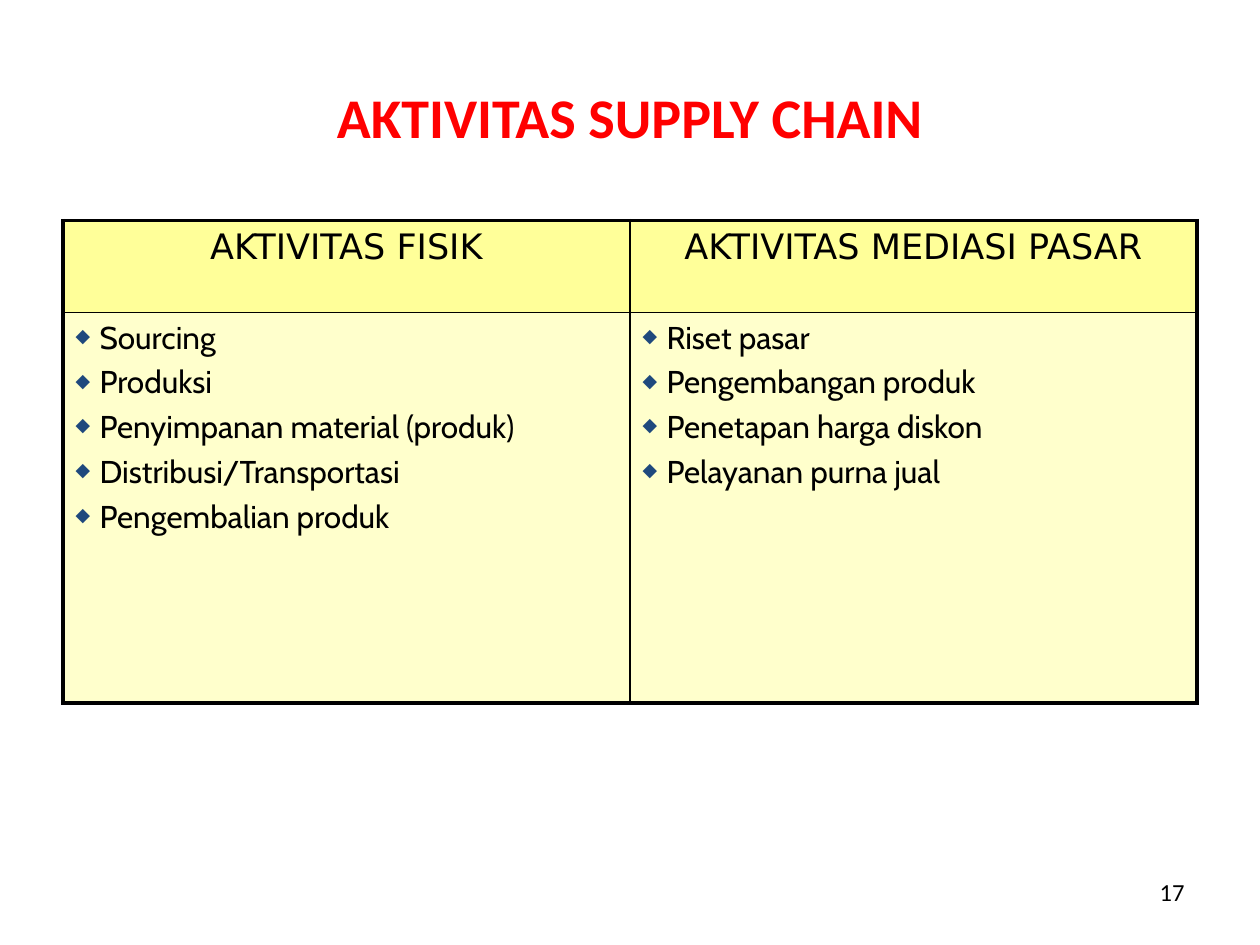
from lxml import etree
from pptx import Presentation
from pptx import util as u
from pptx.dml.color import RGBColor
from pptx.enum import text
from pptx.oxml.ns import qn

RED = RGBColor(0xFF, 0x00, 0x00)
BLACK = RGBColor(0x00, 0x00, 0x00)
NAVY = RGBColor(0x1F, 0x49, 0x7D)
HEADER_YELLOW = RGBColor(0xFF, 0xFF, 0x99)
BODY_YELLOW = RGBColor(0xFF, 0xFF, 0xCC)

COLUMNS = {
    "AKTIVITAS FISIK": [
        "Sourcing", "Produksi", "Penyimpanan material (produk)",
        "Distribusi/Transportasi", "Pengembalian produk"],
    "AKTIVITAS MEDIASI PASAR": [
        "Riset pasar", "Pengembangan produk",
        "Penetapan harga diskon", "Pelayanan purna jual"],
}
OUTER, INNER = 2.25, 1  # border widths in points


def add_bullet(p):
    pPr = p._p.get_or_add_pPr()
    pPr.set("marL", str(u.Inches(0.19)))
    pPr.set("indent", str(-u.Inches(0.19)))
    clr = etree.SubElement(pPr, qn("a:buClr"))
    etree.SubElement(clr, qn("a:srgbClr"), val=str(NAVY))
    etree.SubElement(pPr, qn("a:buSzPct"), val="60000")
    etree.SubElement(pPr, qn("a:buChar"), char="◆")


def write(tf, lines, font, size, color=BLACK, bold=False,
          align=text.PP_ALIGN.LEFT, bullets=False, gap=0):
    for i, line in enumerate(lines):
        p = tf.paragraphs[0] if i == 0 else tf.add_paragraph()
        p.alignment = align
        if i:
            p.space_before = u.Pt(gap)
        if bullets:
            add_bullet(p)
        r = p.add_run()
        r.text = line
        r.font.name, r.font.size = font, u.Pt(size)
        r.font.bold, r.font.color.rgb = bold, color


def style_cell(cell, fill, widths):
    """Set the borders (left, right, top, bottom), then the fill."""
    tcPr = cell._tc.get_or_add_tcPr()
    for side, width in zip("LRTB", widths):
        ln = etree.SubElement(tcPr, qn("a:ln" + side), w=str(u.Pt(width)))
        solid = etree.SubElement(ln, qn("a:solidFill"))
        etree.SubElement(solid, qn("a:srgbClr"), val=str(BLACK))
    cell.fill.solid()
    cell.fill.fore_color.rgb = fill


def add_title(s, title):
    sp = s.shapes.title
    sp.left, sp.top = u.Inches(0.5), u.Inches(0.3)
    sp.width, sp.height = u.Inches(9), u.Inches(1.25)
    sp.text_frame.vertical_anchor = text.MSO_ANCHOR.MIDDLE
    write(sp.text_frame, [title], "Calibri", 32, color=RED, bold=True,
          align=text.PP_ALIGN.CENTER)


def add_activity_table(s):
    table = s.shapes.add_table(2, len(COLUMNS), u.Inches(0.5), u.Inches(1.75),
                               u.Inches(9), u.Inches(3.83)).table
    table.rows[0].height = u.Inches(0.73)
    table.rows[1].height = u.Inches(3.1)
    last = len(COLUMNS) - 1
    for col, (heading, items) in enumerate(COLUMNS.items()):
        sides = (OUTER if col == 0 else INNER, OUTER if col == last else INNER)
        head, body = table.cell(0, col), table.cell(1, col)
        style_cell(head, HEADER_YELLOW, sides + (OUTER, INNER))
        style_cell(body, BODY_YELLOW, sides + (INNER, OUTER))
        write(head.text_frame, [heading], "DejaVu Sans", 20,
              align=text.PP_ALIGN.CENTER)
        write(body.text_frame, items, "Cabin", 18, bullets=True, gap=3.6)


def add_page_number(s, number):
    tf = s.shapes.add_textbox(u.Inches(7.17), u.Inches(6.83),
                              u.Inches(2.33), u.Inches(0.5)).text_frame
    tf.word_wrap = True
    tf.vertical_anchor = text.MSO_ANCHOR.MIDDLE
    write(tf, [number], "Calibri", 14, align=text.PP_ALIGN.RIGHT)


def main():
    prs = Presentation()
    prs.slide_width, prs.slide_height = u.Inches(10), u.Inches(7.5)
    s = prs.slides.add_slide(prs.slide_layouts[5])  # Title Only
    add_title(s, "AKTIVITAS SUPPLY CHAIN")
    add_activity_table(s)
    add_page_number(s, "17")
    prs.save("out.pptx")


if __name__ == "__main__":
    main()
